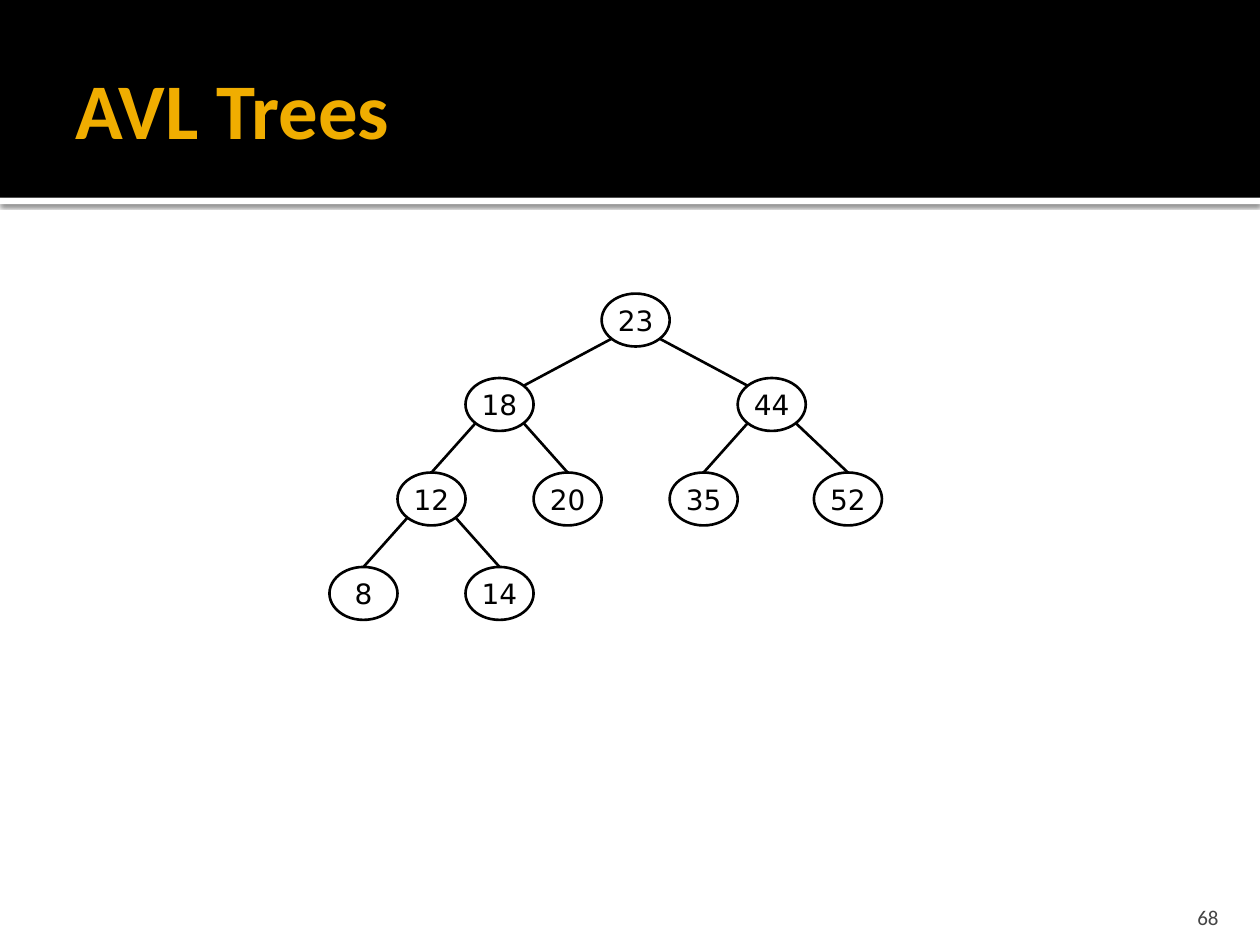
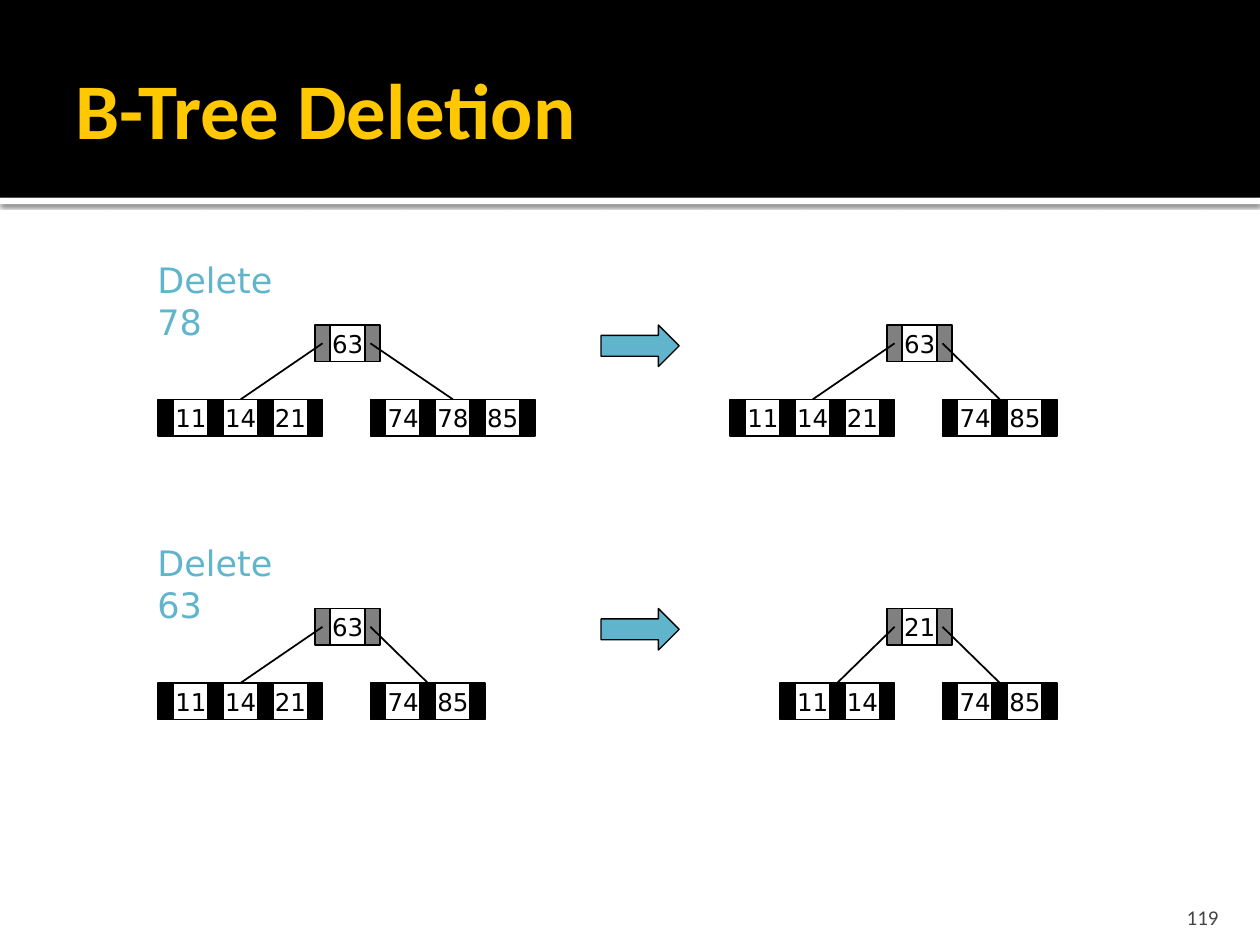
from dataclasses import dataclass
from typing import NamedTuple, Optional

from lxml.etree import SubElement
from pptx import Presentation
from pptx.dml.color import RGBColor as RGB
from pptx.enum.shapes import MSO_CONNECTOR as CXN, MSO_SHAPE as SHAPE
from pptx.enum.text import MSO_ANCHOR as ANCHOR, MSO_AUTO_SIZE as AUTO, PP_ALIGN as ALIGN
from pptx.oxml.ns import qn
from pptx.shapes.autoshape import Shape
from pptx.shapes.connector import Connector
from pptx.slide import Slide
from pptx.util import Emu, Inches, Pt

# The slide is a grid of square cells; every length below counts cells
COLS, ROWS = 100, 75
WIDTH, HEIGHT = Inches(10), Inches(7.5)


@dataclass(frozen=True)
class Theme:
    black: str = "000000"
    white: str = "FFFFFF"
    amber: str = "F0AD00"
    gold: str = "FFC800"
    blue: str = "60B5CC"
    pointer: str = "808080"
    muted: str = "454545"
    sans: str = "Calibri"
    body: str = "DejaVu Sans"
    title_pt: float = 45
    label_pt: float = 20
    node_pt: float = 16
    key_pt: float = 14
    number_pt: float = 12
    edge_pt: float = 1.5
    box_pt: float = 1
    arrow_pt: float = 0.75


T = Theme()


class Box(NamedTuple):
    x: float
    y: float
    w: float
    h: float


class TextStyle(NamedTuple):
    size: float
    color: str
    font: str = T.body
    bold: bool = False
    align: ALIGN = ALIGN.LEFT


class AvlNode(NamedTuple):
    key: str
    col: float
    level: int
    parent: Optional[str] = None


class BTree(NamedTuple):
    x: float
    root: str
    left: list[str]
    right: list[str]


class Deletion(NamedTuple):
    label: str
    y: float
    before: BTree
    after: BTree


TITLE = TextStyle(T.title_pt, T.amber, T.sans, True)
NUMBER = TextStyle(T.number_pt, T.muted, T.sans, align=ALIGN.RIGHT)
LABEL = TextStyle(T.label_pt, T.blue)
NODE = TextStyle(T.node_pt, T.black, align=ALIGN.CENTER)
KEY = TextStyle(T.key_pt, T.black, align=ALIGN.CENTER)

# AVL tree: columns are one node wide
NODE_W, NODE_H = 5.4, 4.2
TREE_X = 26.15
LEVEL_Y = [23.3, 30, 37.5, 45]
DIAGONAL = 0.5 ** 0.5
AVL = [
    AvlNode("23", 4, 0),
    AvlNode("18", 2, 1, "23"),
    AvlNode("44", 6, 1, "23"),
    AvlNode("12", 1, 2, "18"),
    AvlNode("20", 3, 2, "18"),
    AvlNode("35", 5, 2, "44"),
    AvlNode("52", 7.12, 2, "44"),
    AvlNode("8", 0, 3, "12"),
    AvlNode("14", 2, 3, "12"),
]

# B-trees: a row alternates narrow pointer cells and key cells
POINTER_W, KEY_W, KEY_H, PITCH = 1.2, 2.8, 2.9, 3.95
CHILD_DROP = 5.9
BEFORE_X, AFTER_X = 25, 70.4
DELETIONS = [
    Deletion("Delete 78", 20,
             BTree(BEFORE_X, "63", ["11", "14", "21"], ["74", "78", "85"]),
             BTree(AFTER_X, "63", ["11", "14", "21"], ["74", "85"])),
    Deletion("Delete 63", 42.5,
             BTree(BEFORE_X, "63", ["11", "14", "21"], ["74", "85"]),
             BTree(AFTER_X, "21", ["11", "14"], ["74", "85"])),
]


def col(n: float) -> Emu:
    return Emu(round(WIDTH * n / COLS))


def row(n: float) -> Emu:
    return Emu(round(HEIGHT * n / ROWS))


def place(b: Box) -> tuple[Emu, Emu, Emu, Emu]:
    return col(b.x), row(b.y), col(b.w), row(b.h)


def write(sp: Shape, text: str, style: TextStyle, anchor: ANCHOR, wrap: bool) -> None:
    tf = sp.text_frame
    tf.text = text
    tf.word_wrap = wrap
    tf.vertical_anchor = anchor
    p = tf.paragraphs[0]
    p.alignment = style.align
    font = p.runs[0].font
    font.name, font.size, font.bold = style.font, Pt(style.size), style.bold
    font.color.rgb = RGB.from_string(style.color)


def add_text(s: Slide, b: Box, text: str, style: TextStyle, anchor: ANCHOR) -> Shape:
    sp = s.shapes.add_textbox(*place(b))
    write(sp, text, style, anchor, True)
    return sp


def add_shape(s: Slide, kind: SHAPE, b: Box, fill: Optional[str] = None,
              line_pt: float = 0) -> Shape:
    sp = s.shapes.add_shape(kind, *place(b))
    sp.shadow.inherit = False
    if fill:
        sp.fill.solid()
        sp.fill.fore_color.rgb = RGB.from_string(fill)
    else:
        sp.fill.background()
    if line_pt:
        sp.line.color.rgb = RGB.from_string(T.black)
        sp.line.width = Pt(line_pt)
    else:
        sp.line.fill.background()
    return sp


def add_line(s: Slide, x1: float, y1: float, x2: float, y2: float, width: float) -> Connector:
    c = s.shapes.add_connector(CXN.STRAIGHT, col(x1), row(y1), col(x2), row(y2))
    c.line.color.rgb = RGB.from_string(T.black)
    c.line.width = Pt(width)
    SubElement(c._element.spPr, qn("a:effectLst"))
    return c


def cast_shadow(sp: Shape) -> None:
    effects = sp._element.spPr.find(qn("a:effectLst"))
    shadow = SubElement(effects, qn("a:outerShdw"), blurRad=str(Pt(2.5)),
                        dist=str(Pt(0.8)), dir="5400000", algn="t", rotWithShape="0")
    color = SubElement(shadow, qn("a:srgbClr"), val=T.black)
    SubElement(color, qn("a:alpha"), val="60000")


def add_slide(prs: Presentation, title: str, color: str, number: str) -> Slide:
    s = prs.slides.add_slide(prs.slide_layouts[6])
    # Black band with a white strip beneath it
    cast_shadow(add_shape(s, SHAPE.RECTANGLE, Box(0, 15.7, COLS, 0.5), T.white))
    add_shape(s, SHAPE.RECTANGLE, Box(0, 0, COLS, 15.7), T.black)
    # Slide number and title
    sp = add_text(s, Box(89.7, 70.8, 8, 3), number, NUMBER, ANCHOR.BOTTOM)
    sp.text_frame.margin_bottom = 0
    sp = add_text(s, Box(5, 1.7, 90, 13.7), title, TITLE._replace(color=color), ANCHOR.MIDDLE)
    sp.text_frame.margin_right = col(0.5)
    return s


def draw_avl(s: Slide) -> None:
    centers: dict[str, tuple[float, float]] = {}
    dx, dy = NODE_W / 2 * DIAGONAL, NODE_H / 2 * DIAGONAL
    for node in AVL:
        b = Box(TREE_X + node.col * NODE_W, LEVEL_Y[node.level], NODE_W, NODE_H)
        sp = add_shape(s, SHAPE.OVAL, b, line_pt=T.edge_pt)
        write(sp, node.key, NODE, ANCHOR.MIDDLE, False)
        x, y = centers[node.key] = b.x + b.w / 2, b.y + b.h / 2
        if node.parent is None:
            continue
        # Edges leave the parent on its diagonal
        px, py = centers[node.parent]
        side = 1 if x > px else -1
        edge = add_line(s, px + side * dx, py + dy, x - side * dx, y - dy, T.edge_pt)
        if node.level > 1:
            edge.end_connect(sp, 0)


def draw_keys(s: Slide, x: float, y: float, keys: list[str], pointer: str) -> list[Shape]:
    """Draw one B-tree node and return its cells from left to right."""
    cells: list[Shape] = []
    for i in range(len(keys) + 1):
        left = x + i * PITCH
        cells.append(add_shape(s, SHAPE.RECTANGLE, Box(left, y, POINTER_W, KEY_H),
                               pointer, T.box_pt))
        if i < len(keys):
            sp = add_shape(s, SHAPE.RECTANGLE, Box(left + POINTER_W, y, KEY_W, KEY_H),
                           line_pt=T.box_pt)
            write(sp, keys[i], KEY, ANCHOR.MIDDLE, False)
            cells.append(sp)
    return cells


def draw_btree(s: Slide, tree: BTree, y: float) -> None:
    draw_keys(s, tree.x, y, [tree.root], T.pointer)
    # Children reach to the middle of the root's pointers
    left_x = tree.x + POINTER_W / 2
    right_x = left_x + PITCH - 0.15
    child_y = y + CHILD_DROP
    left_w = len(tree.left) * PITCH + POINTER_W
    for x, start, keys in [(left_x, left_x - left_w, tree.left),
                           (right_x, right_x, tree.right)]:
        cells = draw_keys(s, start, child_y, keys, T.black)
        edge = add_line(s, x, y + KEY_H / 2, x, child_y, T.box_pt)
        edge.end_connect(cells[len(cells) // 2], 0)


def draw_deletion(s: Slide, step: Deletion) -> None:
    sp = add_text(s, Box(11.5, step.y, 13.9, 7.7), step.label, LABEL, ANCHOR.TOP)
    sp.text_frame.auto_size = AUTO.SHAPE_TO_FIT_TEXT
    tree_y = step.y + 5.8
    draw_btree(s, step.before, tree_y)
    add_shape(s, SHAPE.RIGHT_ARROW, Box(47.7, tree_y, 6.2, 3.3), T.blue, T.arrow_pt)
    draw_btree(s, step.after, tree_y)


def main() -> None:
    prs = Presentation()
    prs.slide_width, prs.slide_height = WIDTH, HEIGHT
    draw_avl(add_slide(prs, "AVL Trees", T.amber, "68"))
    s = add_slide(prs, "B-Tree Deletion", T.gold, "119")
    for step in DELETIONS:
        draw_deletion(s, step)
    prs.save("out.pptx")


if __name__ == "__main__":
    main()
